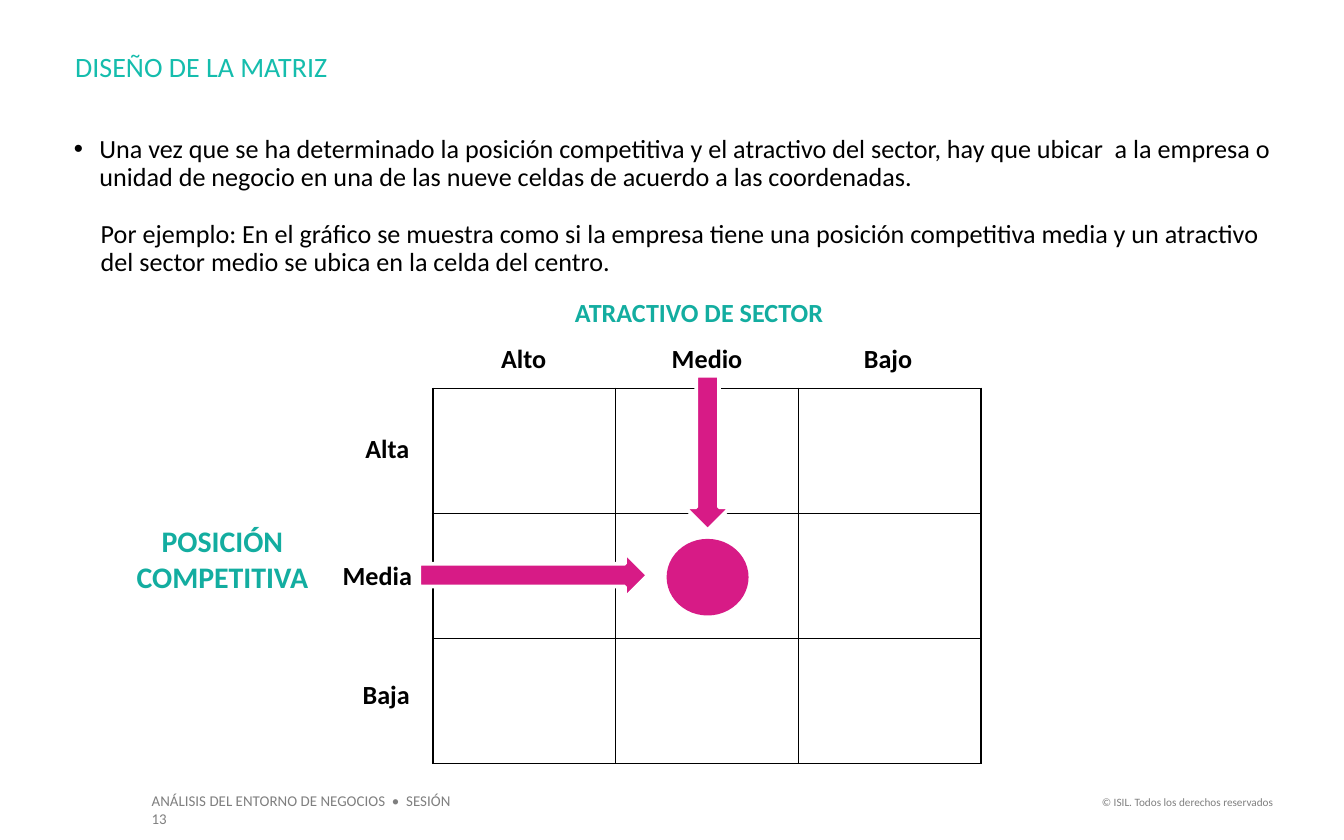
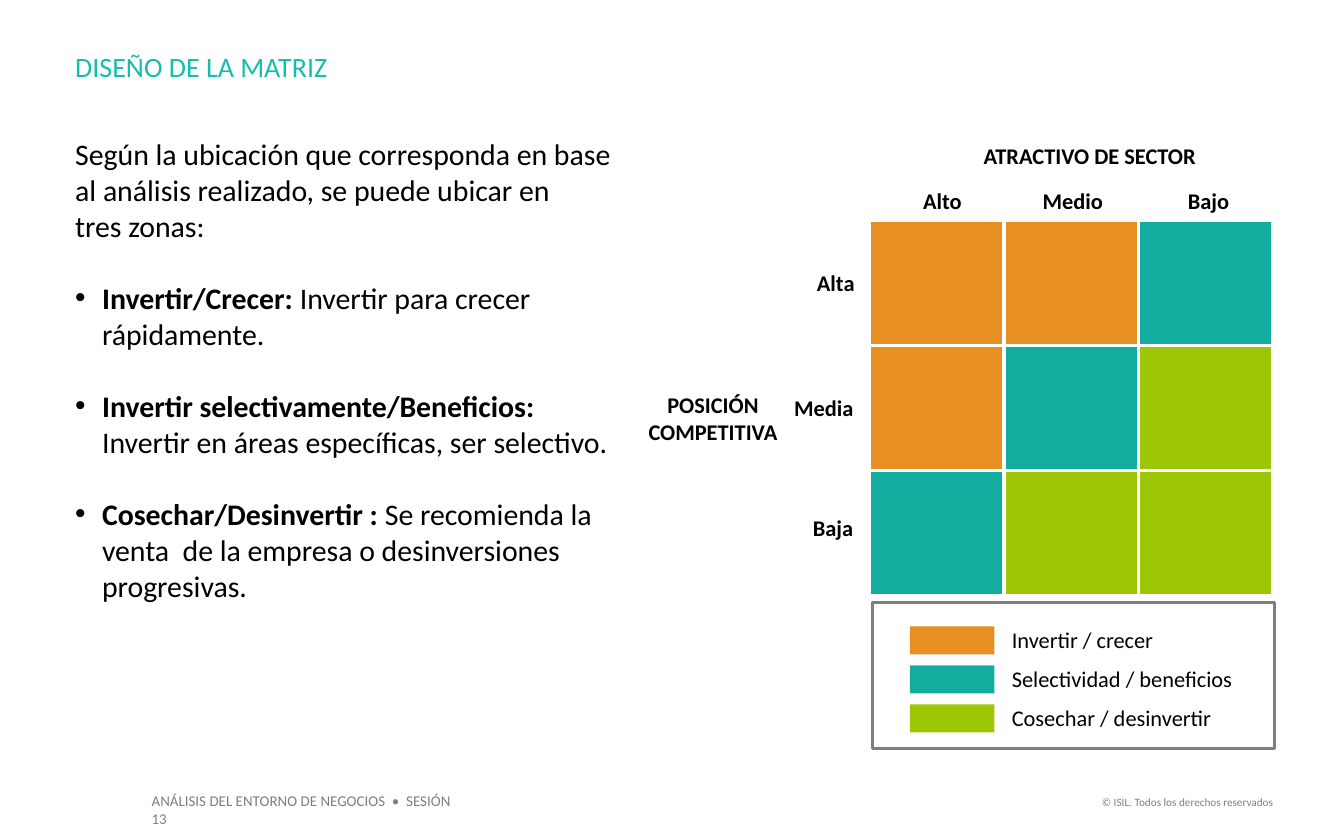
from lxml import etree
from pptx import Presentation
from pptx.dml.color import RGBColor
from pptx.enum.shapes import MSO_SHAPE as SHAPE
from pptx.enum.text import MSO_ANCHOR as ANCHOR, PP_ALIGN as ALIGN
from pptx.oxml.ns import qn
from pptx.util import Inches, Pt

COLORS = {
    "black": "000000",
    "white": "FFFFFF",
    "gray": "7F7F7F",
    "title": "15BDAD",
    "teal": "13ADA0",
    "pink": "D71B86",
    "orange": "E88F23",
    "green": "9CC606",
}
FONT = "Calibri"
TITLE = "DISEÑO DE LA MATRIZ"
FOOTER = "ANÁLISIS DEL ENTORNO DE NEGOCIOS  •  SESIÓN 13"
COPYRIGHT = "© ISIL. Todos los derechos reservados"
SECTOR = "ATRACTIVO DE SECTOR"
POSITION = "POSICIÓN COMPETITIVA"


def rgb(name):
    return RGBColor.from_string(COLORS[name])


class Deck:
    def __init__(self):
        self.prs = Presentation()
        self.prs.slide_width = Inches(10)
        self.prs.slide_height = Inches(6.25)
        self.s = None

    def box(self, x, y, w, h):
        return Inches(x), Inches(y), Inches(w), Inches(h)

    def style(self, p, size, color="black", bold=False):
        for r in p.runs:
            r.font.name = FONT
            r.font.size = Pt(size)
            r.font.bold = bold
            r.font.color.rgb = rgb(color)

    def margins(self, tf, side, top):
        tf.margin_left = tf.margin_right = Inches(side)
        tf.margin_top = tf.margin_bottom = Inches(top)
        tf.vertical_anchor = ANCHOR.TOP

    def slide(self):
        self.s = self.prs.slides.add_slide(self.prs.slide_layouts[5])
        self.text(FOOTER, (1.03, 5.84, 2.56, 0.24), 8, "gray", wrap=True)
        self.text(COPYRIGHT, (8.05, 5.87, 1.52, 0.2), 6, "gray", align=ALIGN.RIGHT)
        sp = self.s.shapes.title
        sp.left, sp.top, sp.width, sp.height = self.box(0.56, 0.37, 4.53, 0.25)
        tf = sp.text_frame
        tf.text = TITLE
        self.margins(tf, 0, 0)
        p = tf.paragraphs[0]
        p.alignment = ALIGN.LEFT
        self.style(p, 15, "title")

    def text(self, text, at, size, color="black", bold=False, align=ALIGN.LEFT, wrap=False):
        tf = self.s.shapes.add_textbox(*self.box(*at)).text_frame
        tf.word_wrap = wrap
        self.margins(tf, 0.1, 0.05)
        tf.text = text
        p = tf.paragraphs[0]
        p.alignment = align
        self.style(p, size, color, bold)

    def body(self, paragraphs, at, size, gap, spacing=1.0):
        tf = self.s.shapes.add_textbox(*self.box(*at)).text_frame
        tf.word_wrap = True
        self.margins(tf, 0, 0)
        for i, (lead, rest, indent, bullet, spaced) in enumerate(paragraphs):
            p = tf.paragraphs[0] if i == 0 else tf.add_paragraph()
            self.indent(p, indent, bullet)
            p.line_spacing = spacing
            if spaced:
                p.space_before = Pt(gap)
            p.text = lead or rest
            if lead and rest:
                p.add_run().text = rest
            self.style(p, size)
            if lead:
                p.runs[0].font.bold = True

    def indent(self, p, indent, bullet):
        pPr = p._p.get_or_add_pPr()
        pPr.set("marL", str(Inches(indent)))
        pPr.set("indent", str(-Inches(indent) if bullet else 0))
        if bullet:
            clr = etree.SubElement(pPr, qn("a:buClr"))
            etree.SubElement(clr, qn("a:srgbClr"), val=COLORS["black"])
            etree.SubElement(pPr, qn("a:buFont"), typeface="Arial")
            etree.SubElement(pPr, qn("a:buChar"), char="•")

    def shape(self, kind, at, fill=None, line=None, width=1, rotation=0):
        sp = self.s.shapes.add_shape(kind, *self.box(*at))
        sp.shadow.inherit = False
        sp.rotation = rotation
        if fill:
            sp.fill.solid()
            sp.fill.fore_color.rgb = rgb(fill)
        else:
            sp.fill.background()
        if line:
            sp.line.color.rgb = rgb(line)
            sp.line.width = Pt(width)
        else:
            sp.line.fill.background()

    def border(self, cell, color, width):
        tcPr = cell._tc.get_or_add_tcPr()
        for side in ("lnL", "lnR", "lnT", "lnB"):
            ln = etree.SubElement(tcPr, qn(f"a:{side}"), w=str(Pt(width)))
            fill = etree.SubElement(ln, qn("a:solidFill"))
            etree.SubElement(fill, qn("a:srgbClr"), val=COLORS[color])

    def matrix(self, fills, x, y, col, row, border, width):
        n = len(fills)
        frame = self.s.shapes.add_table(n, n, *self.box(x, y, n * col, n * row))
        table = frame.table
        table.first_row = table.horz_banding = False
        for i, names in enumerate(fills):
            table.rows[i].height = Inches(row)
            table.columns[i].width = Inches(col)
            for j, name in enumerate(names):
                cell = table.cell(i, j)
                self.border(cell, border, width)
                cell.fill.solid()
                cell.fill.fore_color.rgb = rgb(name)

    def labels(self, places, size):
        for text, x, y, w in places:
            self.text(text, (x, y, w, 0.3), size, bold=True)


def example_slide(d):
    d.slide()
    d.body([
        ("", "Una vez que se ha determinado la posición competitiva y el atractivo "
         "del sector, hay que ubicar  a la empresa o unidad de negocio en una de las "
         "nueve celdas de acuerdo a las coordenadas.", 0.19, True, False),
        ("", "Por ejemplo: En el gráfico se muestra como si la empresa tiene una "
         "posición competitiva media y un atractivo del sector medio se ubica en la "
         "celda del centro.", 0.2, False, True),
    ], (0.55, 1.01, 8.94, 1.06), 14, 15.4, 0.9)
    d.matrix([["white"] * 3] * 3, 3.22, 2.89, 1.36, 0.93, "black", 1)
    d.labels([
        ("Alto", 3.63, 2.5, 0.54), ("Medio", 4.9, 2.5, 0.73), ("Bajo", 6.33, 2.5, 0.56),
        ("Alta", 2.62, 3.17, 0.53), ("Media", 2.45, 4.11, 0.72), ("Baja", 2.6, 5, 0.56),
    ], 14)
    d.shape(SHAPE.OVAL, (4.96, 4.01, 0.61, 0.57), "pink")
    d.shape(SHAPE.RIGHT_ARROW, (3.12, 4.11, 1.7, 0.34), "pink", "white", 2)
    d.shape(SHAPE.RIGHT_ARROW, (4.69, 3.2, 1.15, 0.34), "pink", "white", 2, 90)
    d.text(SECTOR, (4.18, 2.16, 2.06, 0.34), 14, "teal", True)
    d.text(POSITION, (0.87, 3.84, 1.57, 0.64), 16, "teal", True, ALIGN.CENTER, True)


def zones_slide(d):
    d.slide()
    d.body([
        ("", "Según la ubicación que corresponda en base al análisis realizado, se "
         "puede ubicar en \vtres zonas:", 0, False, False),
        ("Invertir/Crecer: ", "Invertir para crecer rápidamente.", 0.2, True, True),
        ("Invertir selectivamente/Beneficios:", "", 0.2, True, True),
        ("", "Invertir en áreas específicas, ser selectivo.", 0.2, False, False),
        ("Cosechar/Desinvertir : ", "Se recomienda la venta  de la empresa o "
         "desinversiones progresivas.", 0.2, True, True),
    ], (0.56, 1.01, 4.1, 3.5), 16, 19.5)
    invest, select, harvest = "orange", "teal", "green"
    d.matrix([
        [invest, invest, select],
        [invest, select, harvest],
        [select, harvest, harvest],
    ], 6.47, 1.64, 1, 0.93, "white", 2.25)
    d.labels([
        (SECTOR, 7.22, 1.01, 1.8),
        ("Alto", 6.77, 1.34, 0.49), ("Medio", 7.66, 1.34, 0.66), ("Bajo", 8.74, 1.34, 0.51),
        ("Alta", 5.98, 1.95, 0.48), ("Media", 5.81, 2.88, 0.65), ("Baja", 5.95, 3.78, 0.51),
    ], 12)
    legend = [
        (invest, "Invertir / crecer", 1.35),
        (select, "Selectividad / beneficios", 2),
        (harvest, "Cosechar / desinvertir", 1.82),
    ]
    for i, (color, label, width) in enumerate(legend):
        y = 4.66 + i * 0.29
        d.shape(SHAPE.RECTANGLE, (6.77, y, 0.63, 0.21), color)
        d.text(label, (7.43, y - 0.05, width, 0.32), 12)
    d.shape(SHAPE.RECTANGLE, (6.49, 4.48, 2.99, 1.09), line="gray", width=1.5)
    d.text(POSITION, (4.65, 2.86, 1.31, 0.5), 12, "black", True, ALIGN.CENTER, True)


def main():
    d = Deck()
    example_slide(d)
    zones_slide(d)
    d.prs.save("out.pptx")


if __name__ == "__main__":
    main()
